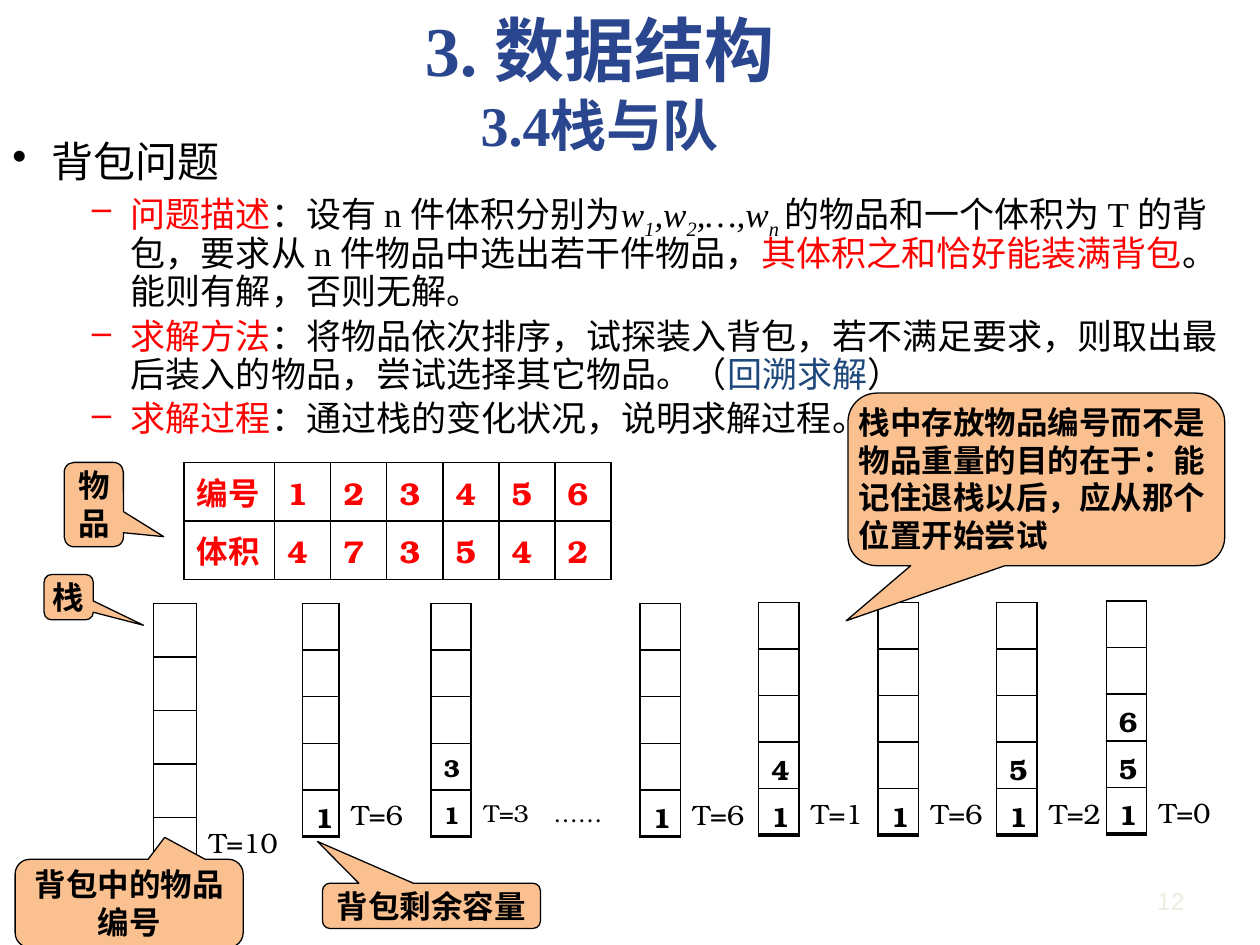
import pptx
import pptx.util
import pptx.dml.color
import pptx.enum.shapes
import pptx.enum.text
import pptx.oxml
import pptx.oxml.ns
import lxml.etree

Inches = pptx.util.Inches
Pt = pptx.util.Pt
BLACK, RED, NAVY, BLUE, ORANGE = "000000", "FF0000", "2A468E", "1F497D", "FAC090"
SERIF, BONUM, SANS = "Times New Roman", "TeX Gyre Bonum", "Noto Sans CJK SC"
NO_GRID_STYLE = "{2D5ABB26-0587-4C30-8999-92F81FD0307C}"
CENTER = pptx.enum.text.PP_ALIGN.CENTER
color = pptx.dml.color.RGBColor.from_string
qn = pptx.oxml.ns.qn


def set_font(font, size, name, hex_color, bold=False):
    font.size, font.name, font.bold = Pt(size), name, bold
    font.color.rgb = color(hex_color)


def fill_cell(cell, text, size, hex_color, bold, borders):
    """Write a cell; borders maps a side (L, R, T, B) to a width in points."""
    cell.fill.background()
    cell.margin_top = Inches(0.05 if text else 0)
    cell.margin_bottom = 0
    paragraph = cell.text_frame.paragraphs[0]
    set_font(paragraph.font, size, BONUM, hex_color, bold)
    if text:
        paragraph.space_before = Pt(size * 0.2)
        paragraph.add_run().text = text
    properties = cell._tc.get_or_add_tcPr()
    for index, (side, width) in enumerate(borders.items()):
        line = pptx.oxml.parse_xml(
            f'<a:ln{side} xmlns:a="http://schemas.openxmlformats.org/drawingml/2006/main" '
            f'w="{Pt(width)}"><a:solidFill><a:srgbClr val="{BLACK}"/></a:solidFill></a:ln{side}>')
        properties.insert(index, line)


presentation = pptx.Presentation()
presentation.slide_width, presentation.slide_height = Inches(10), Inches(7.5)
slide = presentation.slides.add_slide(presentation.slide_layouts[6])

# Body: each paragraph is a list of (text, colour, style) runs
body = [
    [("背包问题", BLACK, "")],
    [("问题描述", RED, ""), ("：设有 n 件体积分别为", BLACK, ""),
     ("w", BLACK, "italic"), ("1", BLACK, "subscript"),
     (",w", BLACK, "italic"), ("2", BLACK, "subscript"),
     (",…,w", BLACK, "italic"), ("n ", BLACK, "subscript"),
     ("的物品和一个体积为 T 的背包，要求从 n 件物品中选出若干件物品，", BLACK, ""),
     ("其体积之和恰好能装满背包", RED, ""), ("。能则有解，否则无解。", BLACK, "")],
    [("求解方法", RED, ""),
     ("：将物品依次排序，试探装入背包，若不满足要求，则取出最后装入的物品，尝试选择其它物品。（", BLACK, ""),
     ("回溯求解", BLUE, ""), ("）", BLACK, "")],
    [("求解过程", RED, ""), ("：通过栈的变化状况，说明求解过程。", BLACK, "")],
]
text_frame = slide.shapes.add_textbox(Inches(0), Inches(1.07), Inches(9.88), Inches(2.52)).text_frame
text_frame.word_wrap = True
for index, runs in enumerate(body):
    paragraph = text_frame.add_paragraph() if index else text_frame.paragraphs[0]
    size, indent, bullet = (20, 0.94, "–") if index else (24, 0.31, "•")
    paragraph.level = 1 if index else 0
    paragraph.line_spacing = 0.9
    paragraph.space_before = Pt(size * 0.2)
    properties = paragraph._p.get_or_add_pPr()
    properties.set("marL", str(Inches(indent)))
    properties.set("indent", str(Inches(-0.31)))
    lxml.etree.SubElement(properties, qn("a:buChar")).set("char", bullet)
    for text, hex_color, style in runs:
        run = paragraph.add_run()
        run.text = text
        set_font(run.font, size, SERIF, hex_color)
        run.font.italic = bool(style)
        if style == "subscript":
            run.font._element.set("baseline", "-25000")

# Tables: left, top, column widths, row height, font size, rows, is a stack
items = [["编号", "1", "2", "3", "4", "5", "6"], ["体积", "4", "7", "3", "5", "4", "2"]]
tables = [(1.46, 3.67, [0.72] + [0.445] * 6, 0.465, 18, items, False)]
stacks = [  # left, top, column widths, row height, size, contents from the bottom, capacity
    (1.22, 4.79, [0.34, 0.76], 0.425, 16, "", "T=10"),
    (2.4, 4.79, [0.29, 0.65], 0.37, 16, "1", "T=6"),
    (3.42, 4.79, [0.32, 1.26], 0.37, 14, "13", "T=3\u00a0\u00a0\u00a0……"),
    (5.08, 4.79, [0.32, 0.63], 0.37, 16, "1", "T=6"),
    (6.02, 4.78, [0.32, 0.63], 0.37, 16, "14", "T=1"),
    (6.97, 4.78, [0.32, 0.63], 0.37, 16, "1", "T=6"),
    (7.91, 4.78, [0.32, 0.63], 0.37, 16, "15", "T=2"),
    (8.78, 4.77, [0.32, 0.63], 0.37, 16, "156", "T=0"),
]
for left, top, widths, height, size, contents, capacity in stacks:
    rows = [[item, ""] for item in reversed(contents.ljust(5))]
    rows[-1][1] = capacity
    tables.append((left, top, widths, height, size, rows, True))

for left, top, widths, height, size, rows, is_stack in tables:
    table = slide.shapes.add_table(len(rows), len(widths), Inches(left), Inches(top),
                                   Inches(sum(widths)), Inches(height * len(rows))).table
    table.first_row = table.horz_banding = False
    table._tbl.tblPr.find(qn("a:tableStyleId")).text = NO_GRID_STYLE
    for column, width in zip(table.columns, widths):
        column.width = Inches(width)
    for row_index, row in enumerate(rows):
        table.rows[row_index].height = Inches(height)
        for column_index, text in enumerate(row):
            is_label = is_stack and column_index == 1
            is_base = is_stack and row_index == len(rows) - 1
            borders = {"L": 1} if is_label else {"L": 1, "R": 1, "T": 1, "B": 2.25 if is_base else 1}
            fill_cell(table.cell(row_index, column_index), text.strip(), size,
                      BLACK if is_stack else RED, not is_label, borders)
    if is_stack:
        table.cell(0, 1).merge(table.cell(3, 1))

# Callouts: left, top, width, height, pointer x and y, text, alignment
callouts = [
    (2.56, 7.01, 1.73, 0.36, -0.523, -1.421, "背包剩余容量", CENTER),
    (0.12, 6.82, 1.81, 0.7, 0.156, -0.749, "背包中的物品编号", CENTER),
    (0.35, 4.56, 0.39, 0.36, 1.522, 0.62, "栈", CENTER),
    (0.51, 3.67, 0.47, 0.67, 1.181, 0.38, "物品", CENTER),
    (6.73, 3.12, 2.99, 1.37, -0.505, 0.819,
     "栈中存放物品编号而不是物品重量的目的在于：能记住退栈以后，应从那个位置开始尝试",
     pptx.enum.text.PP_ALIGN.LEFT),
]
for left, top, width, height, pointer_x, pointer_y, text, alignment in callouts:
    shape = slide.shapes.add_shape(pptx.enum.shapes.MSO_SHAPE.ROUNDED_RECTANGULAR_CALLOUT,
                                   Inches(left), Inches(top), Inches(width), Inches(height))
    shape.adjustments[0], shape.adjustments[1] = pointer_x, pointer_y
    shape.shadow.inherit = False
    shape.fill.solid()
    shape.fill.fore_color.rgb = color(ORANGE)
    shape.line.color.rgb = color(BLACK)
    shape.line.width = Pt(0.75)
    text_frame = shape.text_frame
    text_frame.word_wrap = True
    text_frame.vertical_anchor = pptx.enum.text.MSO_ANCHOR.TOP
    text_frame.margin_left = text_frame.margin_right = Inches(0.02)
    text_frame.margin_top = text_frame.margin_bottom = Inches(0.01)
    paragraph = text_frame.paragraphs[0]
    paragraph.alignment = alignment
    set_font(paragraph.font, 18, SANS, BLACK, True)
    paragraph.add_run().text = text

# Title
text_frame = slide.shapes.add_textbox(Inches(0.51), Inches(0), Inches(8.5), Inches(1.31)).text_frame
text_frame.word_wrap = True
text_frame.vertical_anchor = pptx.enum.text.MSO_ANCHOR.MIDDLE
paragraph = text_frame.paragraphs[0]
paragraph.alignment = CENTER
for text, size in [("3. 数据结构", 40), ("3.4栈与队", 32)]:
    if paragraph.runs:
        paragraph.add_line_break()
    run = paragraph.add_run()
    run.text = text
    set_font(run.font, size, SERIF, NAVY, True)

# Slide number
text_frame = slide.shapes.add_textbox(Inches(8.5), Inches(6.98), Inches(1), Inches(0.36)).text_frame
paragraph = text_frame.paragraphs[0]
paragraph.alignment = pptx.enum.text.PP_ALIGN.RIGHT
set_font(paragraph.font, 14, "Arial", "EEECE1")
paragraph.add_run().text = "12"

presentation.save("out.pptx")
